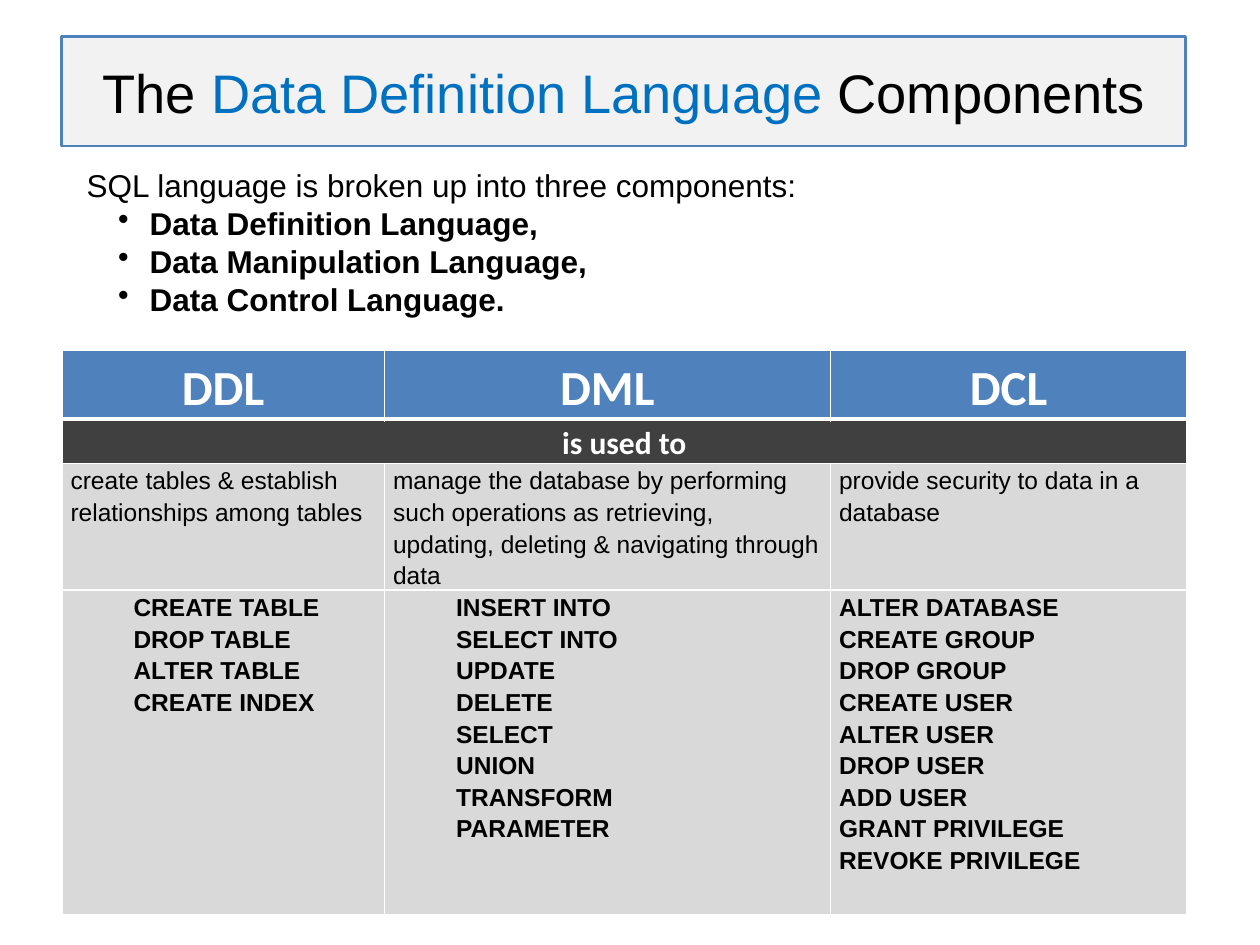
"""Build a slide on the three components of the SQL language."""
from lxml.etree import SubElement
from pptx import Presentation
from pptx.dml.color import RGBColor
from pptx.enum.shapes import MSO_SHAPE
from pptx.enum.text import MSO_ANCHOR, PP_ALIGN
from pptx.oxml import parse_xml
from pptx.oxml.ns import nsdecls, qn
from pptx.util import Inches, Pt

COLORS = {"blue": "4F81BD", "accent": "0070C0", "dark": "404040", "gray": "D9D9D9",
          "light": "F2F2F2", "white": "FFFFFF", "black": "000000"}


def set_font(font, name, size, color, bold=False):
    font.name, font.size, font.bold = name, Pt(size), bold
    font.color.rgb = RGBColor.from_string(COLORS[color])


def fill_cell(cell, lines, fill, font, align=PP_ALIGN.LEFT, indent=0, bottom=1):
    cell.margin_left = cell.margin_right = Inches(0.07)
    cell.margin_top = cell.margin_bottom = 0
    cell.text = "\n".join(lines)
    for paragraph in cell.text_frame.paragraphs:
        paragraph.alignment = align
        paragraph.line_spacing = 1.15
        set_font(paragraph.font, *font)
        if indent:
            paragraph._p.get_or_add_pPr().set("indent", str(Inches(indent)))
    properties = cell._tc.get_or_add_tcPr()
    for side, width in (("L", 1), ("R", 1), ("T", 1), ("B", bottom)):
        properties.append(parse_xml(
            f'<a:ln{side} {nsdecls("a")} w="{Pt(width)}"><a:solidFill>'
            f'<a:srgbClr val="{COLORS["white"]}"/></a:solidFill></a:ln{side}>'))
    cell.fill.solid()
    cell.fill.fore_color.rgb = RGBColor.from_string(COLORS[fill])


presentation = Presentation()
presentation.slide_width, presentation.slide_height = Inches(10), Inches(7.5)
slide = presentation.slides.add_slide(presentation.slide_layouts[6])

title = slide.shapes.add_shape(
    MSO_SHAPE.RECTANGLE, Inches(0.49), Inches(0.29), Inches(8.92), Inches(0.87))
title.shadow.inherit = False
title.fill.solid()
title.fill.fore_color.rgb = RGBColor.from_string(COLORS["light"])
title.line.color.rgb = RGBColor.from_string(COLORS["blue"])
title.line.width = Pt(1.5)
title.text_frame.vertical_anchor = MSO_ANCHOR.MIDDLE
paragraph = title.text_frame.paragraphs[0]
paragraph.alignment = PP_ALIGN.CENTER
for text, color in (("The ", "black"), ("Data Definition Language ", "accent"),
                    ("Components", "black")):
    run = paragraph.add_run()
    run.text = text
    set_font(run.font, "Arial", 31, color)

columns = [
    ("DDL", "create tables & establish relationships among tables", 2.56, 0.5,
     ["CREATE TABLE", "DROP TABLE", "ALTER TABLE", "CREATE INDEX"]),
    ("DML", "manage the database by performing such operations as retrieving, "
     "updating, deleting & navigating through data", 3.54, 0.5,
     ["INSERT INTO", "SELECT INTO", "UPDATE", "DELETE", "SELECT", "UNION",
      "TRANSFORM", "PARAMETER"]),
    ("DCL", "provide security to data in a database", 2.83, 0,
     ["ALTER DATABASE", "CREATE GROUP", "DROP GROUP", "CREATE USER", "ALTER USER",
      "DROP USER", "ADD USER", "GRANT PRIVILEGE", "REVOKE PRIVILEGE"]),
]
row_heights = [0.54, 0.35, 1, 2.58]
table = slide.shapes.add_table(
    len(row_heights), len(columns), Inches(0.49), Inches(2.78),
    Inches(8.93), Inches(sum(row_heights))).table
for row, height in zip(table.rows, row_heights):
    row.height = Inches(height)
for index, (heading, purpose, width, indent, commands) in enumerate(columns):
    table.columns[index].width = Inches(width)
    fill_cell(table.cell(0, index), [heading], "blue", ("Calibri", 28, "white", True),
              PP_ALIGN.CENTER, bottom=3)
    fill_cell(table.cell(2, index), [purpose], "gray", ("Arial", 14, "black"))
    fill_cell(table.cell(3, index), commands, "gray", ("Arial", 14, "black", True),
              indent=indent)
table.cell(1, 0).merge(table.cell(1, 2))
fill_cell(table.cell(1, 0), ["is used to"], "dark", ("Calibri", 18, "white", True),
          PP_ALIGN.CENTER)

introduction = slide.shapes.add_textbox(
    Inches(0.59), Inches(1.11), Inches(6.46), Inches(1.62)).text_frame
introduction.word_wrap = True
introduction.vertical_anchor = MSO_ANCHOR.MIDDLE
introduction.text = "SQL language is broken up into three components:"
set_font(introduction.paragraphs[0].font, "Arial", 18, "black")
for language in ("Data Definition Language,", "Data Manipulation Language,",
                 "Data Control Language."):
    paragraph = introduction.add_paragraph()
    paragraph.text = language
    paragraph.level = 1
    set_font(paragraph.font, "Arial", 18, "black", True)
    properties = paragraph._p.get_or_add_pPr()
    properties.set("marL", str(Inches(0.5)))
    properties.set("indent", str(Inches(-0.25)))
    bullet = SubElement(properties, qn("a:buChar"), char="•")
    properties.find(qn("a:defRPr")).addprevious(bullet)

presentation.save("out.pptx")
